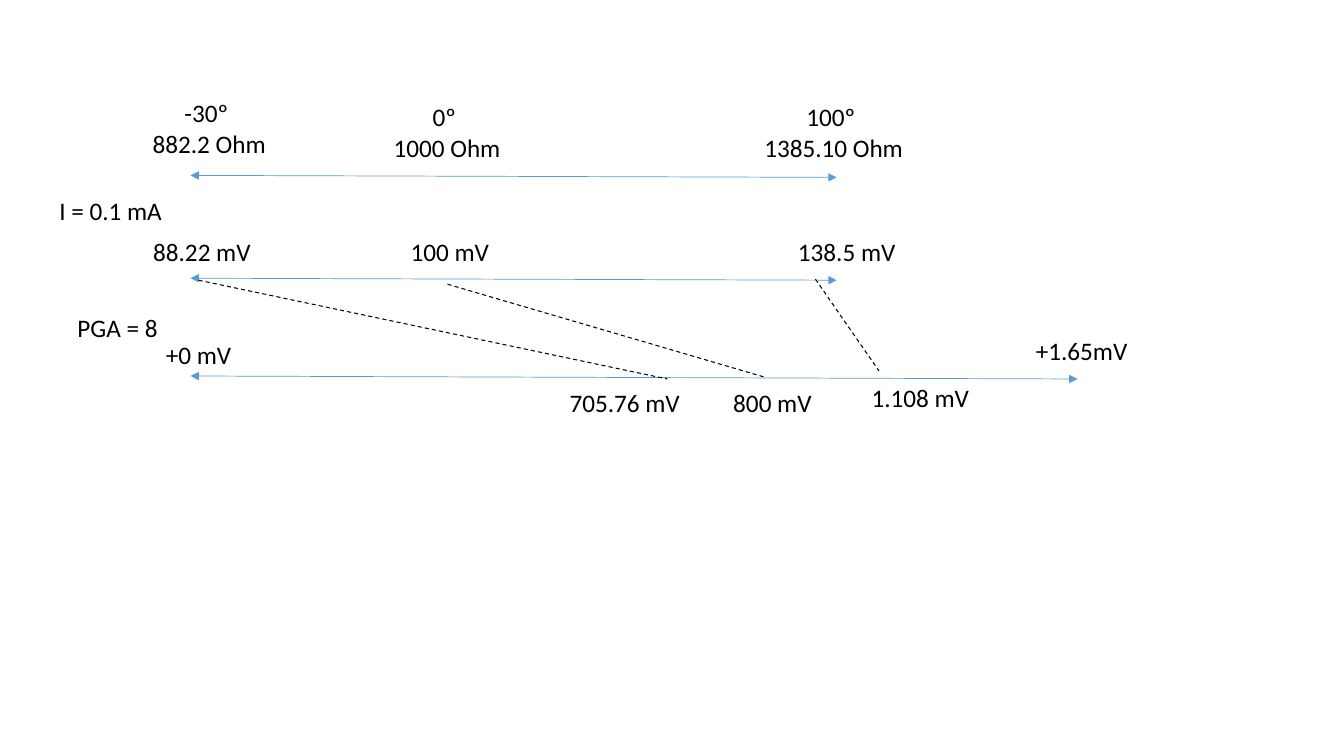
import dataclasses
import pptx
import pptx.dml.color
import pptx.enum.dml
import pptx.enum.shapes
import pptx.enum.text
import pptx.oxml
import pptx.oxml.ns
import pptx.slide
import pptx.util

COLORS = {"axis": "5B9BD5", "ink": "000000"}
COLS, ROWS = 133.33, 75
LEFT = 18.9
NARROW, WIDE = 13.3, 16
OHM_ROW, VOLT_ROW, GAIN_ROW = 9.6, 23, 37.9
CENTER = pptx.enum.text.PP_ALIGN.CENTER
START = pptx.enum.text.PP_ALIGN.LEFT

deck = pptx.Presentation()
deck.slide_width = pptx.util.Inches(13.33)
deck.slide_height = pptx.util.Inches(7.5)
page = deck.slides.add_slide(deck.slide_layouts[6])


@dataclasses.dataclass
class Label:
    col: float
    row: float
    width: float
    lines: tuple[str, ...]
    align: pptx.enum.text.PP_ALIGN = CENTER


@dataclasses.dataclass
class Line:
    col: float
    row: float
    end_col: float
    end_row: float
    color: str = "ink"
    weight: float = 0.75
    axis: bool = False


def across(cols: float) -> int:
    return round(deck.slide_width * cols / COLS)


def down(rows: float) -> int:
    return round(deck.slide_height * rows / ROWS)


def tint(name: str) -> pptx.dml.color.RGBColor:
    return pptx.dml.color.RGBColor.from_string(COLORS[name])


def draw_line(page: pptx.slide.Slide, line: Line) -> None:
    shape = page.shapes.add_connector(
        pptx.enum.shapes.MSO_CONNECTOR.STRAIGHT,
        across(line.col), down(line.row), across(line.end_col), down(line.end_row))
    shape.line.color.rgb = tint(line.color)
    shape.line.width = pptx.util.Pt(line.weight)
    if line.axis:
        pen = shape.line._get_or_add_ln()
        for end in ("headEnd", "tailEnd"):
            tip = pptx.oxml.ns.qn(f"a:{end}")
            pen.append(pen.makeelement(tip, {"type": "triangle"}))
    else:
        shape.line.dash_style = pptx.enum.dml.MSO_LINE.DASH
    shape._element.spPr.append(pptx.oxml.parse_xml(
        f"<a:effectLst {pptx.oxml.ns.nsdecls('a')}/>"))


def draw_label(page: pptx.slide.Slide, label: Label) -> None:
    height = 0.9 + 3.1 * len(label.lines)
    box = page.shapes.add_textbox(
        across(label.col), down(label.row), across(label.width), down(height))
    frame = box.text_frame
    frame.word_wrap = True
    frame.auto_size = pptx.enum.text.MSO_AUTO_SIZE.SHAPE_TO_FIT_TEXT
    for count, text in enumerate(label.lines):
        para = frame.add_paragraph() if count else frame.paragraphs[0]
        para.alignment = label.align
        run = para.add_run()
        run.text = text
        run.font.name = "Calibri"
        run.font.size = pptx.util.Pt(18)
        run.font.color.rgb = tint("ink")


axes = [
    Line(LEFT, row, end, row + drop, "axis", 0.5, True)
    for row, end, drop in ((17.4, 83, 0.2), (27.6, 83, 0.2), (37.3, 106.9, 0.3))
]
links = [
    Line(19.7, 27.8, 66.2, 37.6),
    Line(44.4, 28.2, 75.8, 37.4),
    Line(80.9, 27.7, 87.2, 36.8),
]
labels = [
    Label(14.1, 9.2, NARROW, ("-30º ", "882.2 Ohm")),
    Label(37.7, OHM_ROW, NARROW, ("0º ", "1000 Ohm")),
    Label(74.7, OHM_ROW, WIDE, ("100º ", "1385.10 Ohm")),
    Label(4.9, 18.9, 14.8, ("I = 0.1 mA",), START),
    Label(13.1, VOLT_ROW, NARROW, (" 88.22 mV",)),
    Label(37.7, VOLT_ROW, NARROW, (" 100 mV",)),
    Label(76, VOLT_ROW, WIDE, ("138.5 mV",)),
    Label(6.7, 30.5, 14.8, ("PGA = 8",), START),
    Label(11.7, 33.2, WIDE, ("+0 mV",)),
    Label(99.3, 32.8, WIDE, ("+1.65mV",)),
    Label(53.8, GAIN_ROW, 15.8, (" 705.76 mV",)),
    Label(69.7, GAIN_ROW, NARROW, (" 800 mV",)),
    Label(83.3, 37.4, WIDE, ("1.108 mV",)),
]

for line in axes + links:
    draw_line(page, line)
for label in labels:
    draw_label(page, label)

deck.save("out.pptx")
